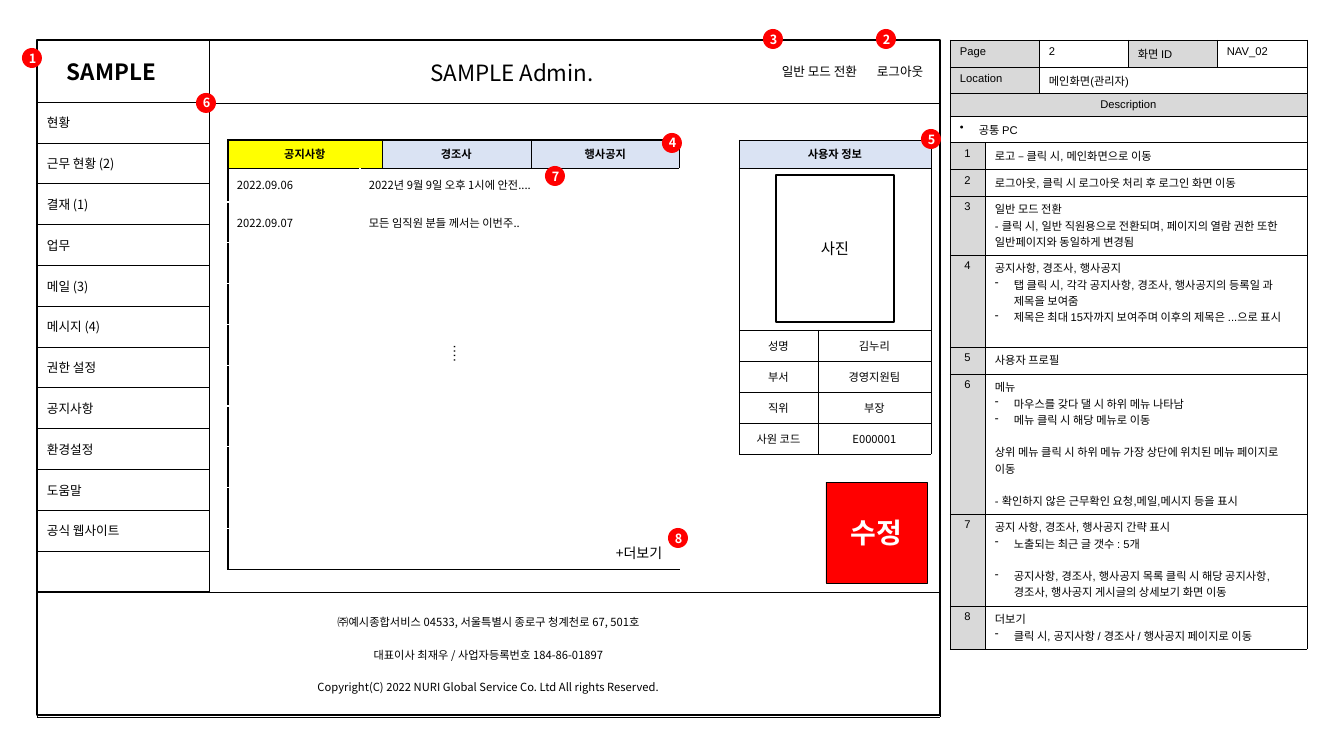
from lxml.etree import SubElement
from pptx import Presentation
from pptx.dml.color import RGBColor
from pptx.enum.shapes import MSO_SHAPE
from pptx.enum.text import MSO_ANCHOR, PP_ALIGN
from pptx.oxml.ns import qn
from pptx.util import Pt

SCALE = 914400 / 100.8
COLORS = {"black": "000000", "white": "FFFFFF", "red": "FF0000", "gray": "D9D9D9",
          "yellow": "FFFF00", "blue": "DAE3F3"}
SANS, ARIAL = "Noto Sans CJK KR", "Arial"
NO_STYLE = "{2D5ABB26-0587-4C30-8999-92F81FD0307C}"
LEFT, CENTER, RIGHT = PP_ALIGN.LEFT, PP_ALIGN.CENTER, PP_ALIGN.RIGHT
SIDES = {"left": "a:lnL", "right": "a:lnR", "top": "a:lnT", "bottom": "a:lnB"}
THIN, BOLD_LINE, BLANK_LINE = ("black", 0.25), ("black", 1), ("white", 1)
LINE_GAP = 11.5

MENU = ["현황", "근무 현황 (2)", "결재 (1)", "업무", "메일 (3)", "메시지 (4)", "권한 설정",
        "공지사항", "환경설정", "도움말", "공식 웹사이트", ""]
HEADER = [("SAMPLE Admin.", 16, CENTER, 83), ("일반 모드 전환", 9, RIGHT, 10), ("로그아웃", 9, LEFT, 10)]
FOOTER = ["㈜예시종합서비스 04533, 서울특별시 종로구 청계천로 67, 501호",
          ("대표이사 최재우 / 사업자등록번호 184-86-01897", "", LINE_GAP),
          ("Copyright(C) 2022 NURI Global Service Co. Ltd All rights Reserved.", "", LINE_GAP)]
NOTICE_TABS = [("공지사항", "yellow"), ("", "yellow"), ("경조사", "blue"), ("행사공지", "blue")]
NOTICES = [("2022.09.06", "2022년 9월 9일 오후 1시에 안전...."),
           ("2022.09.07", "모든 임직원 분들 께서는 이번주..")] + [("", "")] * 8
PROFILE = [("사용자 정보", ""), ("", ""), ("성명", "김누리"), ("부서", "경영지원팀"),
           ("직위", "부장"), ("사원 코드", "E000001")]
PAGE_INFO = [
    [(0, 1, "Page", "gray"), (2, 2, "2", None), (3, 3, "화면 ID", "gray"), (4, 4, "NAV_02", None)],
    [(0, 1, "Location", "gray"), (2, 4, "메인화면(관리자)", None)],
    [(0, 4, "Description", "gray")],
    [(0, 4, ("공통 PC", "•", 0), None)],
]
DESCRIPTIONS = [
    ["로고 – 클릭 시, 메인화면으로 이동"],
    ["로그아웃, 클릭 시 로그아웃 처리 후 로그인 화면 이동"],
    ["일반 모드 전환",
     "- 클릭 시, 일반 직원용으로 전환되며, 페이지의 열람 권한 또한 일반페이지와 동일하게 변경됨"],
    ["공지사항, 경조사, 행사공지",
     ("탭 클릭 시, 각각 공지사항, 경조사, 행사공지의 등록일 과 제목을 보여줌", "-", 0),
     ("제목은 최대 15자까지 보여주며 이후의 제목은 ...으로 표시", "-", 0)],
    ["사용자 프로필"],
    ["메뉴",
     ("마우스를 갖다 댈 시 하위 메뉴 나타남", "-", 0),
     ("메뉴 클릭 시 해당 메뉴로 이동", "-", 0),
     ("상위 메뉴 클릭 시 하위 메뉴 가장 상단에 위치된 메뉴 페이지로 이동", "", LINE_GAP),
     ("- 확인하지 않은 근무확인 요청,메일,메시지 등을 표시", "", LINE_GAP)],
    ["공지 사항, 경조사, 행사공지 간략 표시",
     ("노출되는 최근 글 갯수 : 5개", "-", 0),
     ("공지사항, 경조사, 행사공지 목록 클릭 시 해당 공지사항, 경조사, 행사공지 게시글의 상세보기 화면 이동",
      "-", LINE_GAP)],
    ["더보기", ("클릭 시, 공지사항 / 경조사 / 행사공지 페이지로 이동", "-", 0)],
]
DESCRIPTION_ROWS = [27, 26, 23, 26, 27, 26, 59, 92, 27, 140, 92, 43]
BADGES = {"1": (22, 48), "2": (876, 29), "3": (763, 29), "6": (196, 93), "4": (662, 133),
          "5": (921, 129), "7": (545, 166), "8": (668, 528)}


def px(value):
    return round(value * SCALE)


def rgb(name):
    return RGBColor.from_string(COLORS[name])


def write(frame, lines, size, font=SANS, align=LEFT, bold=False, color="black"):
    for index, line in enumerate(lines):
        text, bullet, gap = line if isinstance(line, tuple) else (line, "", 0)
        para = frame.paragraphs[0] if index == 0 else frame.add_paragraph()
        para.text = text
        para.alignment = align
        if gap:
            para.space_before = Pt(gap)
        if bullet:
            properties = para._p.get_or_add_pPr()
            properties.set("marL", str(px(19)))
            properties.set("indent", str(-px(19)))
            SubElement(properties, qn("a:buChar"), char=bullet)
        for span in para.runs:
            span.font.size, span.font.bold, span.font.name = Pt(size), bold, font
            span.font.color.rgb = rgb(color)
            SubElement(span._r.get_or_add_rPr(), qn("a:ea"), typeface=SANS)
        if not text:
            SubElement(para._p, qn("a:endParaRPr"), sz=str(size * 100))


def fill_cell(cell, lines, size=8, fill=None, edges=None, anchor=MSO_ANCHOR.MIDDLE,
              margins=(10, 5), **style):
    cell.margin_left = cell.margin_right = px(margins[0])
    cell.margin_top = cell.margin_bottom = px(margins[1])
    cell.vertical_anchor = anchor
    write(cell.text_frame, lines, size, **style)
    properties = cell._tc.get_or_add_tcPr()
    for side, tag in SIDES.items():
        if edges and side in edges:
            color, width = edges[side]
            line = SubElement(properties, qn(tag), w=str(Pt(width)))
            SubElement(SubElement(line, qn("a:solidFill")), qn("a:srgbClr"), val=COLORS[color])
    if fill:
        cell.fill.solid()
        cell.fill.fore_color.rgb = rgb(fill)
    else:
        cell.fill.background()


def add_table(left, top, columns, rows):
    frame = page.shapes.add_table(len(rows), len(columns), px(left), px(top),
                                  px(sum(columns)), px(sum(rows)))
    table = frame.table
    table.first_row = table.horz_banding = False
    table._tbl.tblPr.find(qn("a:tableStyleId")).text = NO_STYLE
    for column, width in zip(table.columns, columns):
        column.width = px(width)
    for row, height in zip(table.rows, rows):
        row.height = px(height)
    return table


def add_box(kind, left, top, width, height, fill=None, line=None):
    box = page.shapes.add_shape(kind, px(left), px(top), px(width), px(height))
    box.shadow.inherit = False
    if fill:
        box.fill.solid()
        box.fill.fore_color.rgb = rgb(fill)
    else:
        box.fill.background()
    if line:
        box.line.color.rgb = rgb("black")
        box.line.width = Pt(line)
    else:
        box.line.fill.background()
    box.text_frame.vertical_anchor = MSO_ANCHOR.MIDDLE
    return box


def add_label(left, top, width, height, text, font):
    box = page.shapes.add_textbox(px(left), px(top), px(width), px(height))
    box.text_frame.word_wrap = False
    write(box.text_frame, [text], 10, font)
    return box


deck = Presentation()
deck.slide_width, deck.slide_height = px(1344), px(756)
page = deck.slides.add_slide(deck.slide_layouts[6])
ALL_THIN = dict.fromkeys(SIDES, THIN)

table = add_table(950, 40, [35, 54, 89, 89, 90], DESCRIPTION_ROWS)
entries = PAGE_INFO + [[(0, 0, str(number), "gray"), (1, 4, lines, None)]
                       for number, lines in enumerate(DESCRIPTIONS, 1)]
for row, entry in enumerate(entries):
    for first, last, content, fill in entry:
        lines = content if isinstance(content, list) else [content]
        centered = content == "Description" or (first == last == 0)
        for column in range(first, last + 1):
            fill_cell(table.cell(row, column), lines if column == first else [""], fill=fill,
                      edges=ALL_THIN, anchor=MSO_ANCHOR.TOP, font=ARIAL,
                      align=CENTER if centered else LEFT)
        if last > first:
            table.cell(row, first).merge(table.cell(row, last))

table = add_table(37, 40, [172], [62] + [490 / len(MENU)] * len(MENU))
MENU_EDGES = {side: THIN for side in ("top", "right", "bottom")}
fill_cell(table.cell(0, 0), ["SAMPLE"], 16, edges=MENU_EDGES, bold=True)
table.cell(0, 0).margin_left = px(30)
for row, item in enumerate(MENU, 1):
    fill_cell(table.cell(row, 0), [item], 9, edges=MENU_EDGES)

add_box(MSO_SHAPE.RECTANGLE, 37, 40, 903, 675, line=1)

table = add_table(209, 40, [533, 125, 73], [63])
for column, (text, size, align, margin) in enumerate(HEADER):
    fill_cell(table.cell(0, column), [text], size, edges={"bottom": THIN}, align=align)
    table.cell(0, column).margin_left = px(margin)

table = add_table(37, 592, [903], [125])
fill_cell(table.cell(0, 0), FOOTER, edges=ALL_THIN, align=CENTER)

table = add_table(228, 140, [132, 18, 149, 149], [28, 34] + [40.8] * 9)
for column, (tab, fill) in enumerate(NOTICE_TABS):
    edges = {"left": THIN if column else BOLD_LINE, "right": THIN if column < 3 else BOLD_LINE,
             "top": BOLD_LINE, "bottom": THIN}
    fill_cell(table.cell(0, column), [tab], fill=fill, edges=edges, margins=(9, 4),
              align=CENTER, bold=True)
table.cell(0, 0).merge(table.cell(0, 1))
for row, (date, title) in enumerate(NOTICES, 1):
    for column, text in enumerate((date, title, "", "")):
        edges = {"left": BLANK_LINE if column else BOLD_LINE,
                 "right": BLANK_LINE if column < 3 else BOLD_LINE,
                 "top": THIN if row == 1 else BLANK_LINE,
                 "bottom": BOLD_LINE if row == len(NOTICES) else BLANK_LINE}
        fill_cell(table.cell(row, column), [text], fill="white", edges=edges, margins=(9, 4))
    table.cell(row, 1).merge(table.cell(row, 3))

dots = add_label(441, 335, 37, 24, "….", ARIAL)
dots.text_frame.vertical_anchor = MSO_ANCHOR.MIDDLE
dots.text_frame.paragraphs[0].alignment = CENTER
dots.text_frame._txBody.bodyPr.set("vert", "eaVert")

table = add_table(739, 140, [79, 113], [28, 162] + [31] * 4)
for row, fields in enumerate(PROFILE):
    for column, text in enumerate(fields):
        fill_cell(table.cell(row, column), [text], fill="white" if row else "blue",
                  edges=ALL_THIN, margins=(9, 4), align=CENTER, bold=row == 0)
    if row < 2:
        table.cell(row, 0).merge(table.cell(row, 1))

photo = add_box(MSO_SHAPE.RECTANGLE, 776, 175, 118, 147, "white", 1)
write(photo.text_frame, ["사진"], 11, align=CENTER)
edit = add_box(MSO_SHAPE.RECTANGLE, 826, 482, 101, 101, "red", 0.5)
write(edit.text_frame, ["수정"], 20, ARIAL, CENTER, True, "white")
add_label(606, 540, 73, 27, "+더보기", SANS)

for number, (left, top) in BADGES.items():
    badge = add_box(MSO_SHAPE.OVAL, left, top, 20, 20, "red")
    frame = badge.text_frame
    frame.margin_left = frame.margin_right = frame.margin_top = frame.margin_bottom = px(4)
    write(frame, [number], 9, align=CENTER, bold=True, color="white")

deck.save("out.pptx")
